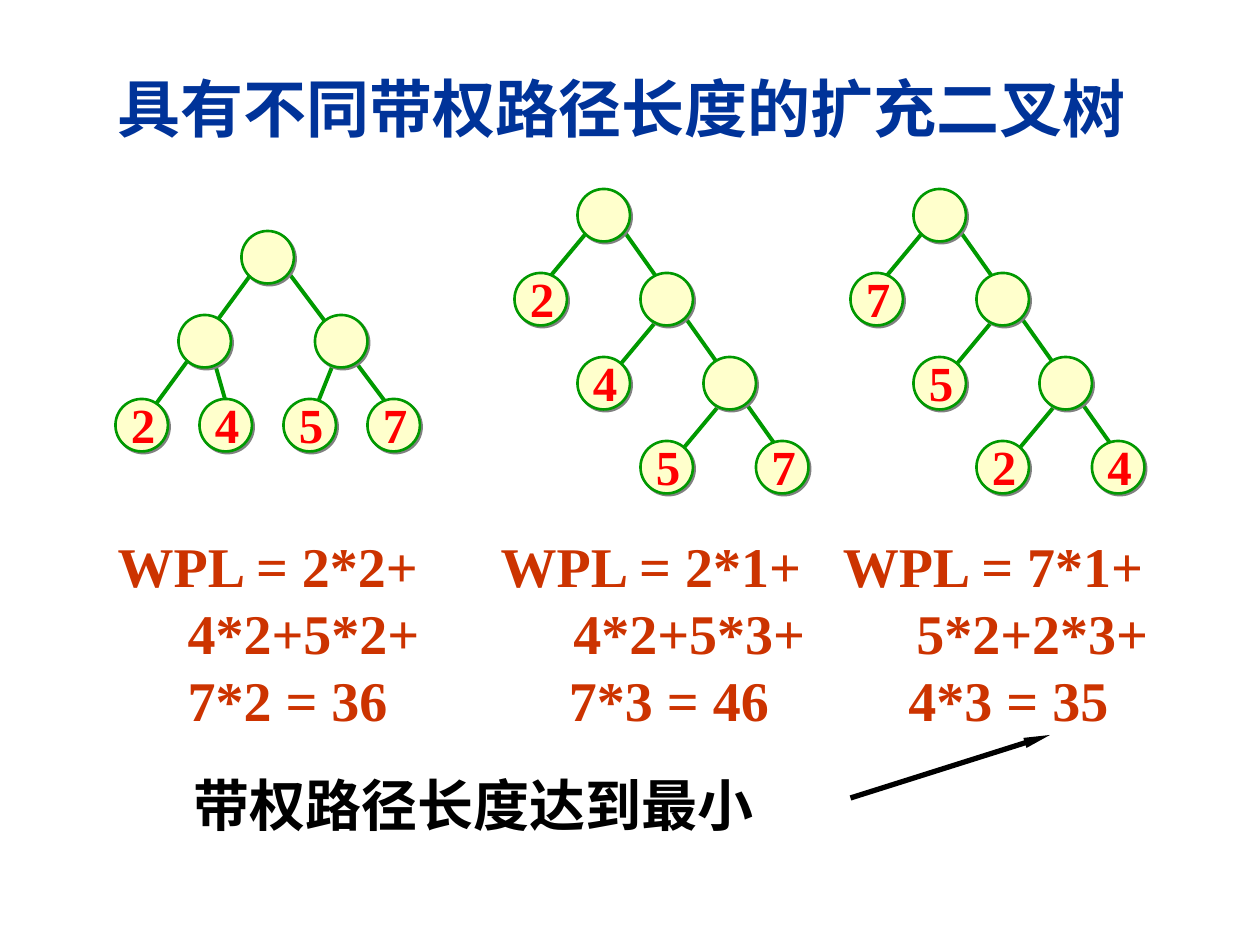
from dataclasses import dataclass
from typing import Any

from lxml import etree
from pptx import Presentation
from pptx.dml.color import RGBColor
from pptx.enum.shapes import MSO_CONNECTOR, MSO_SHAPE
from pptx.enum.text import MSO_ANCHOR, MSO_AUTO_SIZE, PP_ALIGN
from pptx.oxml.ns import qn
from pptx.util import Pt

ELLIPSE, STRAIGHT = MSO_SHAPE.OVAL, MSO_CONNECTOR.STRAIGHT
TOP, MIDDLE = MSO_ANCHOR.TOP, MSO_ANCHOR.MIDDLE
LEFT, CENTER = PP_ALIGN.LEFT, PP_ALIGN.CENTER
NO_FIT = MSO_AUTO_SIZE.NONE

BLUE = RGBColor(0x00, 0x33, 0x99)
GREEN = RGBColor(0x00, 0x99, 0x00)
CREAM = RGBColor(0xFF, 0xFF, 0xCC)
RED = RGBColor(0xFF, 0x00, 0x00)
RUST = RGBColor(0xCC, 0x33, 0x00)
BLACK = RGBColor(0x00, 0x00, 0x00)
GREY = RGBColor(0x80, 0x80, 0x80)

SERIF, CJK = "Times New Roman", "Noto Sans CJK SC"
UNIT = 6  # points per grid step
NODE = 30  # node diameter in points


@dataclass
class Layout:
    """Inner nodes, leaves and edges in grid steps from the root node."""
    inner: list[tuple[int, int]]
    leaves: list[tuple[int, int]]
    edges: list[tuple[int, int, int, int]]


@dataclass
class Tree:
    """A layout placed on the grid, with its leaf weights."""
    x: int
    y: int
    layout: Layout
    weights: str


@dataclass
class Formula:
    """A formula column: left edge, then lines with their indents in points."""
    left: float
    lines: list[tuple[str, float]]


BALANCED = Layout(
    inner=[(0, 0), (-6, 8), (7, 8)],
    leaves=[(x, 16) for x in range(-12, 13, 8)],
    edges=[(3, 2, 15, 18), (9, 12, 7, 17), (-3, 11, -1, 18), (1, 4, -10, 19)],
)
CHAIN = Layout(
    inner=[(0, 0), (6, 8), (12, 16)],
    leaves=[(-6, 8), (0, 16), (6, 24), (17, 24)],
    edges=[(1, 4, -4, 10), (8, 12, 3, 18), (14, 20, 9, 26), (3, 2, 20, 26)],
)
TREES = [
    Tree(23, 22, BALANCED, "2457"),
    Tree(55, 18, CHAIN, "2457"),
    Tree(87, 18, CHAIN, "7524"),
]
FORMULAS = [
    Formula(60, [("WPL = 2*2+", 0), ("4*2+5*2+", 40), ("7*2 = 36", 40)]),
    Formula(279, [("WPL = 2*1+", 0), ("4*2+5*3+", 41.5), ("7*3 = 46", 39)]),
    Formula(474.5, [("WPL = 7*1+", 0), ("5*2+2*3+", 42), ("4*3 = 35", 37.5)]),
]


def set_all(obj: Any, values: dict[str, Any]) -> None:
    """Set every attribute named in values."""
    for name, value in values.items():
        setattr(obj, name, value)


def add_text(p: Any, text: str, size: float, color: RGBColor, font: str = SERIF) -> None:
    """Add one bold run to a paragraph."""
    r = p.add_run()
    r.text = text
    set_all(r.font, {"size": Pt(size), "bold": True, "name": font})
    r.font.color.rgb = color
    etree.SubElement(r.font._element, qn("a:ea"), typeface=CJK)


def add_line(s: Any, ends: list[float], color: RGBColor, width: float) -> Any:
    """Draw a straight line between two points, without shadow."""
    sp = s.shapes.add_connector(STRAIGHT, *[Pt(v) for v in ends])
    sp.line.color.rgb = color
    sp.line.width = Pt(width)
    etree.SubElement(sp._element.spPr, qn("a:effectLst"))
    return sp


def add_node(s: Any, x: float, y: float, label: str = "") -> None:
    """Draw a tree node with a hard grey shadow and an optional weight."""
    sp = s.shapes.add_shape(ELLIPSE, Pt(x), Pt(y), Pt(NODE), Pt(NODE))
    sp.fill.solid()
    sp.fill.fore_color.rgb = CREAM
    sp.line.color.rgb = GREEN
    sp.line.width = Pt(1.5)
    sp.shadow.inherit = False
    effects = sp._element.spPr.find(qn("a:effectLst"))
    shadow = etree.SubElement(effects, qn("a:outerShdw"), dist=str(Pt(1.4)),
                              dir="2700000", algn="ctr", rotWithShape="0")
    etree.SubElement(shadow, qn("a:srgbClr"), val=str(GREY))
    if label:
        tf = sp.text_frame
        set_all(tf, {"margin_left": Pt(1.5), "margin_right": 0, "margin_top": 0,
                     "margin_bottom": Pt(1), "word_wrap": False,
                     "vertical_anchor": MIDDLE})
        tf.paragraphs[0].alignment = CENTER
        add_text(tf.paragraphs[0], label, 28, RED)


def add_tree(s: Any, tree: Tree) -> None:
    """Draw the edges of a tree, then its nodes over them."""
    for x1, y1, x2, y2 in tree.layout.edges:
        ends = [tree.x + x1, tree.y + y1, tree.x + x2, tree.y + y2]
        add_line(s, [v * UNIT for v in ends], GREEN, 2.24)
    labels = [""] * len(tree.layout.inner) + list(tree.weights)
    for (x, y), label in zip(tree.layout.inner + tree.layout.leaves, labels):
        add_node(s, (tree.x + x) * UNIT, (tree.y + y) * UNIT, label)


def place(sp: Any, left: float, top: float, width: float, height: float) -> Any:
    """Move a text shape and give back its prepared text frame."""
    set_all(sp, {"left": Pt(left), "top": Pt(top),
                 "width": Pt(width), "height": Pt(height)})
    tf = sp.text_frame
    set_all(tf, {"vertical_anchor": TOP, "word_wrap": True, "auto_size": NO_FIT})
    return tf


def format_line(p: Any, indent: float = 0) -> None:
    """Make a paragraph plain, without bullet, with the given left indent."""
    set_all(p, {"alignment": LEFT, "space_before": Pt(0), "line_spacing": 1.0})
    pPr = p._p.get_or_add_pPr()
    pPr.set("marL", str(Pt(indent)))
    pPr.set("indent", "0")
    etree.SubElement(pPr, qn("a:buNone"))


def add_formula(sp: Any, formula: Formula) -> None:
    """Write a formula column into a text shape."""
    tf = place(sp, formula.left, 300, 195, 125)
    for i, (text, indent) in enumerate(formula.lines):
        p = tf.paragraphs[0] if i == 0 else tf.add_paragraph()
        format_line(p, indent)
        add_text(p, text, 32, RUST)


def main() -> None:
    """Build and save the slide."""
    prs = Presentation()
    prs.slide_width, prs.slide_height = Pt(720), Pt(540)
    s = prs.slides.add_slide(prs.slide_layouts[1])

    p = place(s.shapes.title, 60, 36, 600, 50).paragraphs[0]
    format_line(p)
    add_text(p, "具有不同带权路径长度的扩充二叉树", 36, BLUE)

    body = s.placeholders[1]
    boxes = [s.shapes.add_textbox(0, 0, 0, 0) for _ in FORMULAS]
    note = boxes.pop()
    for sp, formula in zip([body, *boxes], FORMULAS):
        add_formula(sp, formula)
    p = place(note, 103.5, 436.5, 350, 54).paragraphs[0]
    format_line(p)
    add_text(p, "带权路径长度达到最小", 32, BLACK, CJK)

    for tree in TREES:
        add_tree(s, tree)

    arrow = add_line(s, [486, 456, 600, 420], BLACK, 3)
    etree.SubElement(arrow.line._get_or_add_ln(), qn("a:tailEnd"),
                     type="triangle", w="sm", len="lg")
    prs.save("out.pptx")


main()
